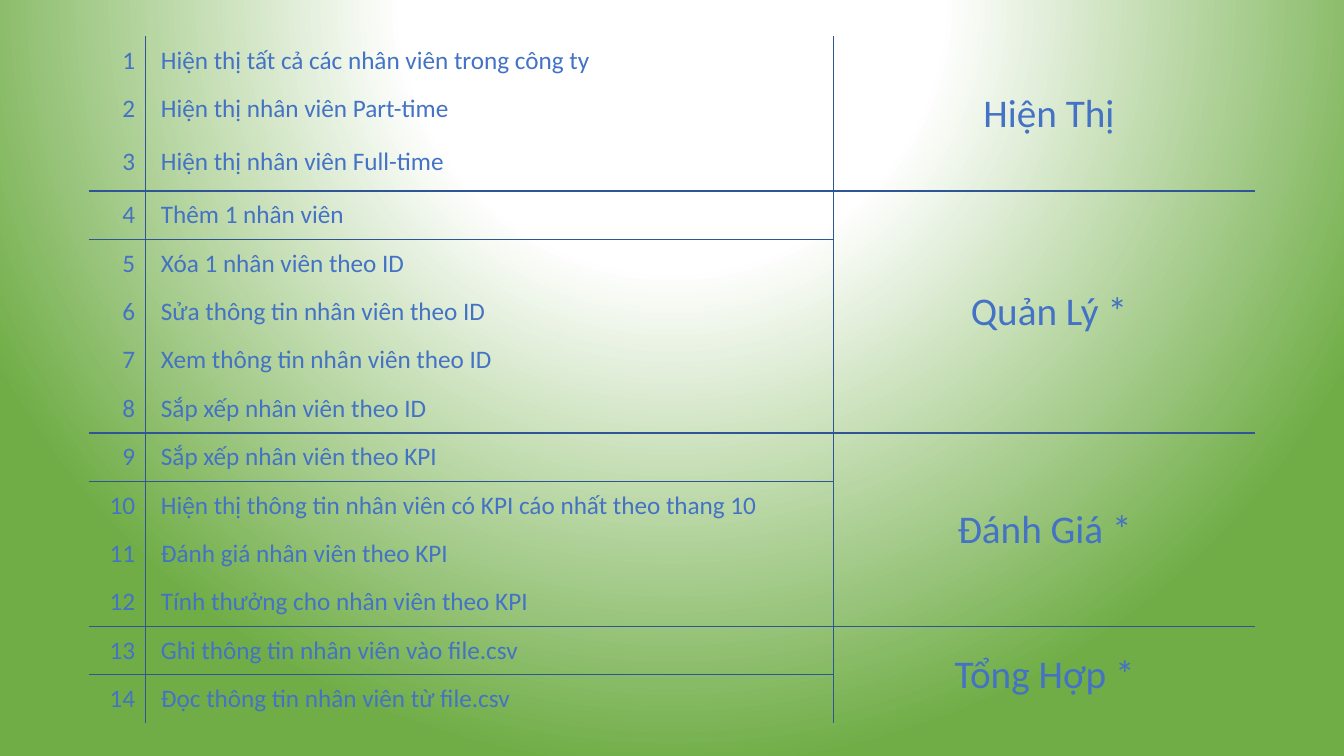
from dataclasses import dataclass

from pptx import Presentation
from pptx.dml.color import RGBColor
from pptx.enum.text import MSO_ANCHOR, PP_ALIGN
from pptx.oxml import parse_xml
from pptx.oxml.ns import nsdecls, qn
from pptx.util import Inches, Pt

LEFT, CENTER, RIGHT = PP_ALIGN.LEFT, PP_ALIGN.CENTER, PP_ALIGN.RIGHT
MIDDLE = MSO_ANCHOR.MIDDLE


@dataclass(frozen=True)
class Theme:
    font: str = "Calibri"
    ink: str = "4472C4"
    rule: str = "2F5597"
    glow: str = "FFFFFF"
    edge: str = "70AD47"
    item: int = 18
    group: int = 28
    line: int = 1


THEME = Theme()
NO_GRID = "{2D5ABB26-0587-4C30-8999-92F81FD0307C}"
COLS = (0.56, 6.83, 4.18)
ROW = 0.48
TALL = {2: 0.56}
GROUPS = (
    (" Hiện Thị", (
        " Hiện thị tất cả các nhân viên trong công ty",
        " Hiện thị nhân viên Part-time",
        " Hiện thị nhân viên Full-time",
    )),
    (" Quản Lý *", (
        " Thêm 1 nhân viên",
        " Xóa 1 nhân viên theo ID",
        " Sửa thông tin nhân viên theo ID",
        " Xem thông tin nhân viên theo ID",
        " Sắp xếp nhân viên theo ID",
    )),
    ("Đánh Giá *", (
        " Sắp xếp nhân viên theo KPI",
        " Hiện thị thông tin nhân viên có KPI cáo nhất theo thang 10",
        " Đánh giá nhân viên theo KPI",
        " Tính thưởng cho nhân viên theo KPI",
    )),
    ("Tổng Hợp *", (
        " Ghi thông tin nhân viên vào file.csv",
        " Đọc thông tin nhân viên từ file.csv",
    )),
)


def paint_back(slide):
    stops = ((0, THEME.glow), (35, THEME.glow), (100, THEME.edge))
    marks = "".join(
        f'<a:gs pos="{pos * 1000}"><a:srgbClr val="{color}"/></a:gs>'
        for pos, color in stops
    )
    slide.element.cSld.insert(0, parse_xml(
        f'<p:bg {nsdecls("p", "a")}><p:bgPr><a:gradFill rotWithShape="1">'
        f'<a:gsLst>{marks}</a:gsLst><a:path path="circle">'
        '<a:fillToRect l="50000" t="-80000" r="50000" b="180000"/></a:path>'
        '</a:gradFill><a:effectLst/></p:bgPr></p:bg>'
    ))


def add_grid(slide, count):
    heights = [TALL.get(row, ROW) for row in range(count)]
    frame = slide.shapes.add_table(
        count, len(COLS), Inches(0.88), Inches(0.36),
        Inches(sum(COLS)), Inches(sum(heights)),
    )
    table = frame.table
    table.first_row = table.horz_banding = False
    table._tbl.tblPr.find(qn("a:tableStyleId")).text = NO_GRID
    for col, width in zip(table.columns, COLS):
        col.width = Inches(width)
    for row, height in zip(table.rows, heights):
        row.height = Inches(height)
    return table


def rule_cell(cell, sides):
    props = cell._tc.get_or_add_tcPr()
    for side in "LRTB":
        if side in sides:
            props.append(parse_xml(
                f'<a:ln{side} {nsdecls("a")} w="{Pt(THEME.line)}"><a:solidFill>'
                f'<a:srgbClr val="{THEME.rule}"/></a:solidFill></a:ln{side}>'
            ))
    cell.fill.background()


def write_cell(cell, text, size, align):
    cell.vertical_anchor = MIDDLE
    para = cell.text_frame.paragraphs[0]
    para.alignment = align
    run = para.add_run()
    run.text = text
    run.font.name = THEME.font
    run.font.size = Pt(size)
    run.font.color.rgb = RGBColor.from_string(THEME.ink)


def fill_group(table, start, label, items):
    last = start + len(items) - 1
    final = len(table.rows) - 1
    table.cell(start, 2).merge(table.cell(last, 2))
    write_cell(table.cell(start, 2), label, THEME.group, CENTER)
    for row, text in enumerate(items, start):
        num = row + 1
        mark = f" {num}" if num < 5 else str(num)
        write_cell(table.cell(row, 0), mark, THEME.item, RIGHT)
        write_cell(table.cell(row, 1), text, THEME.item, LEFT)
        top = "T" if row == start and start > 0 else ""
        base = "B" if row == last and last < final else ""
        for col, sides in enumerate(("R", "LR", "L")):
            whole = "B" if col == 2 and row == start and last < final else base
            rule_cell(table.cell(row, col), sides + top + whole)


def main():
    deck = Presentation()
    deck.slide_width, deck.slide_height = Inches(13.33), Inches(7.5)
    slide = deck.slides.add_slide(deck.slide_layouts[6])
    paint_back(slide)
    table = add_grid(slide, sum(len(items) for _, items in GROUPS))
    start = 0
    for label, items in GROUPS:
        fill_group(table, start, label, items)
        start += len(items)
    deck.save("out.pptx")


if __name__ == "__main__":
    main()
